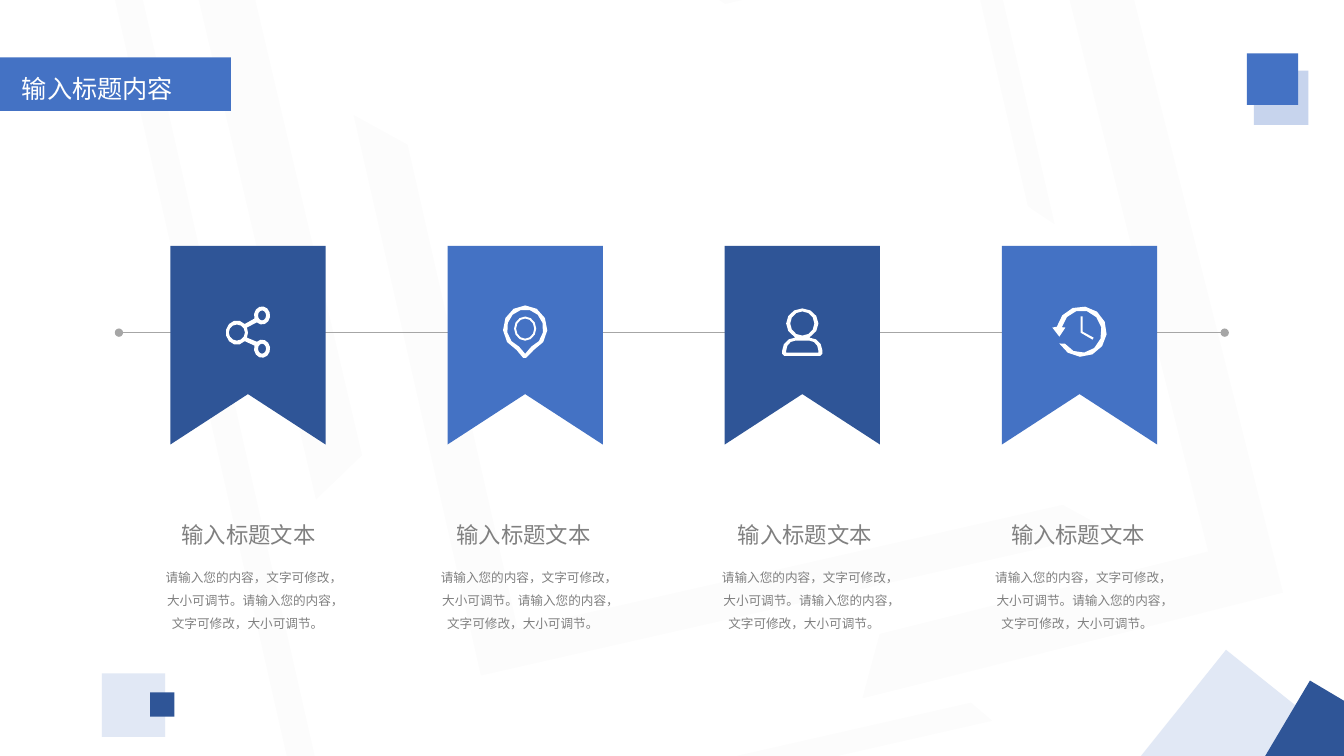
from math import cos, radians, sin

from lxml import etree
from pptx import Presentation
from pptx.dml.color import RGBColor
from pptx.enum.shapes import MSO_CONNECTOR, MSO_SHAPE
from pptx.enum.text import MSO_AUTO_SIZE, PP_ALIGN
from pptx.oxml.ns import qn
from pptx.util import Inches, Pt

HALF_FRAME, TAG, RECT = MSO_SHAPE.HALF_FRAME, MSO_SHAPE.PENTAGON, MSO_SHAPE.RECTANGLE
CENTER, JUSTIFY = PP_ALIGN.CENTER, PP_ALIGN.JUSTIFY
FONT = "Noto Sans CJK SC"
COLORS = {
    "navy": "2F5597", "blue": "4472C4", "pale": "C7D4ED",
    "gray": "A6A6A6", "text": "808080", "white": "FFFFFF",
}

presentation = Presentation()
presentation.slide_width = Inches(40 / 3)
presentation.slide_height = Inches(7.5)
slide = presentation.slides.add_slide(presentation.slide_layouts[6])
shapes = slide.shapes


def paint(shape, color, opacity=100):
    shape.shadow.inherit = False
    shape.line.fill.background()
    shape.fill.solid()
    shape.fill.fore_color.rgb = RGBColor.from_string(COLORS[color])
    if opacity < 100:
        tint = shape._element.spPr.find(".//" + qn("a:srgbClr"))
        etree.SubElement(tint, qn("a:alpha")).set("val", str(opacity * 1000))


def arc(x, y, radius_x, radius_y, start=0, end=360):
    """Points along an ellipse; angles run clockwise from the right."""
    steps = max(2, round(abs(end - start) / 30))
    angles = [radians(start + (end - start) * i / steps) for i in range(steps + 1)]
    return [(x + radius_x * cos(a), y + radius_y * sin(a)) for a in angles]


# Faint background frames: box, rotation, adjustments, mirrored
frames = [
    ((4.42, 0, 5.7, 6.42), 257.2, (0.08, 0.065), False),
    ((0.81, -0.06, 9.28, 6.9), 257.2, (0.039, 0.032), False),
    ((7.24, -0.34, 3.01, 2.83), 77, (0.077, 0.052), False),
    ((2.37, -1.66, 9.45, 5.61), 346.8, (0.091, 0.097), False),
    ((5.83, 0.5, 7.74, 4.3), 75.9, (0.144, 0.134), True),
]
for box, rotation, adjustments, mirrored in frames:
    frame = shapes.add_shape(HALF_FRAME, *map(Inches, box))
    frame.rotation = rotation
    for index, value in enumerate(adjustments):
        frame.adjustments[index] = value
    if mirrored:
        frame._element.spPr.xfrm.set("flipH", "1")
    paint(frame, "gray", 3)

# Title tag
tag = shapes.add_shape(TAG, Inches(0), Inches(0.57), Inches(2.29), Inches(0.53))
tag.adjustments[0] = 0
paint(tag, "blue")

# Corner squares: left, top, size, rotation, color, opacity
squares = [
    (12.44, 0.7, 0.54, 0, "pale", 100),
    (11.53, 6.75, 1.5, 308.7, "pale", 53),
    (1.01, 6.68, 0.63, 0, "pale", 53),
    (1.49, 6.87, 0.24, 0, "navy", 100),
    (12.37, 0.53, 0.51, 0, "blue", 100),
    (12.7, 6.92, 0.91, 300.7, "navy", 100),
]
for left, top, size, rotation, color, opacity in squares:
    square = shapes.add_shape(RECT, Inches(left), Inches(top), Inches(size), Inches(size))
    square.rotation = rotation
    paint(square, color, opacity)

# Timeline with round ends
timeline = shapes.add_connector(
    MSO_CONNECTOR.STRAIGHT, Inches(1.18), Inches(3.3), Inches(12.15), Inches(3.3))
timeline.line.color.rgb = RGBColor.from_string(COLORS["gray"])
timeline.line.width = Pt(1)
for end in ("a:headEnd", "a:tailEnd"):
    etree.SubElement(timeline.line._get_or_add_ln(), qn(end)).set("type", "oval")
etree.SubElement(timeline._element.spPr, qn("a:effectLst"))

# Texts: box, wording, size, color, alignment, line spacing, inset
texts = [((0.12, 0.68, 2.17, 0.43), "输入标题内容", 18, "white", JUSTIFY, None, False)]
for left in (1.62, 4.35, 7.14, 9.85):
    texts += [
        ((left, 5.17, 1.69, 0.27), "输入标题文本", 16, "text", CENTER, None, True),
        ((left - 0.01, 5.58, 1.69, 0.91),
         "请输入您的内容，文字可修改， 大小可调节。请输入您的内容，文字可修改，大小可调节。",
         9, "text", CENTER, 1.5, True),
    ]
for box, wording, size, color, alignment, spacing, flush in texts:
    frame = shapes.add_textbox(*map(Inches, box)).text_frame
    frame.word_wrap = True
    if flush:
        frame.margin_left = frame.margin_right = frame.margin_top = frame.margin_bottom = 0
        frame.auto_size = MSO_AUTO_SIZE.SHAPE_TO_FIT_TEXT
    paragraph = frame.paragraphs[0]
    paragraph.alignment = alignment
    paragraph.line_spacing = spacing
    run = paragraph.add_run()
    run.text = wording
    run.font.size = Pt(size)
    run.font.name = FONT
    run.font.color.rgb = RGBColor.from_string(COLORS[color])
    etree.SubElement(run._r.get_or_add_rPr(), qn("a:ea")).set("typeface", FONT)

# Ribbons, each one closed contour
outlines = []
for index in range(4):
    left = 1.69 + 2.75 * index
    right, middle = left + 1.54, left + 0.77
    ribbon = [(left, 2.44), (right, 2.44), (right, 4.41), (middle, 3.91), (left, 4.41)]
    outlines.append((("navy", "blue")[index % 2], [ribbon]))

# Icons: an outer contour followed by its holes
share_icon = [
    arc(2.35, 3.3, 0.11, 0.12, 45, 315)
    + arc(2.6, 3.13, 0.08, 0.09, 160, 490)
    + arc(2.35, 3.3, 0.11, 0.12, -25, 25)
    + arc(2.6, 3.46, 0.08, 0.09, 230, 560),
    arc(2.35, 3.3, 0.08, 0.08),
    arc(2.6, 3.13, 0.04, 0.05),
    arc(2.6, 3.46, 0.04, 0.05),
]
pin_icon = [
    arc(5.21, 3.26, 0.22, 0.23, 113, 427) + [(5.22, 3.55), (5.19, 3.55)],
    arc(5.21, 3.26, 0.18, 0.19, 110, 430) + [(5.21, 3.51)],
    arc(5.21, 3.26, 0.11, 0.12),
    arc(5.21, 3.26, 0.09, 0.1),
]
person_icon = [
    arc(7.96, 3.21, 0.16, 0.15, 120, 420)
    + arc(8.03, 3.48, 0.13, 0.13, 270, 360)
    + [(8.16, 3.51), (8.14, 3.53), (7.78, 3.53), (7.76, 3.51)]
    + arc(7.89, 3.48, 0.13, 0.13, 180, 270),
    arc(7.96, 3.21, 0.12, 0.12),
    arc(7.89, 3.48, 0.09, 0.1, 180, 270)
    + arc(8.03, 3.48, 0.09, 0.1, 270, 360)
    + [(8.12, 3.5), (7.8, 3.5)],
]
clock_icon = [
    arc(10.73, 3.29, 0.25, 0.25, 152, -169)
    + [(10.44, 3.25), (10.51, 3.34), (10.57, 3.25)]
    + arc(10.73, 3.29, 0.2, 0.21, -168, 145),
    [(10.72, 3.14), (10.72, 3.3), (10.84, 3.37), (10.85, 3.35), (10.74, 3.29), (10.74, 3.14)],
]
outlines += [("white", icon) for icon in (person_icon, clock_icon, pin_icon, share_icon)]

# Draw ribbons, then icons
for color, contours in outlines:
    points = [[(Inches(x), Inches(y)) for x, y in contour] for contour in contours]
    builder = shapes.build_freeform(*points[0][0])
    builder.add_line_segments(points[0][1:])
    for contour in points[1:]:
        builder.move_to(*contour[0])
        builder.add_line_segments(contour[1:])
    paint(builder.convert_to_shape(), color)

presentation.save("out.pptx")
